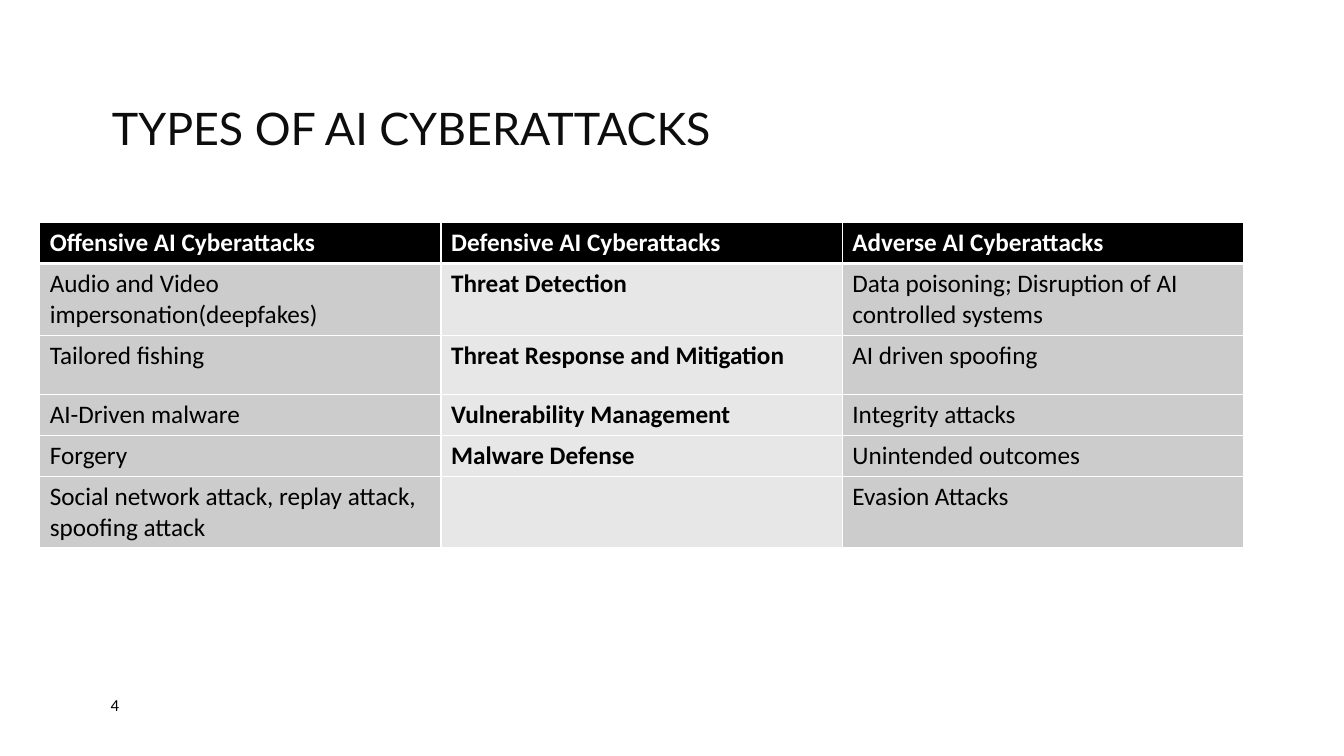
from pptx import Presentation
from pptx.dml.color import RGBColor
from pptx.enum.text import MSO_ANCHOR, PP_ALIGN
from pptx.oxml.ns import qn
from pptx.util import Pt
from lxml import etree

MIDDLE = MSO_ANCHOR.MIDDLE
LEFT = PP_ALIGN.LEFT
COLORS = {
    "title": "0D0D0D",
    "black": "000000",
    "white": "FFFFFF",
    "outer_column": "CCCCCC",
    "middle_column": "E7E7E7",
}
HEADINGS = ["Offensive AI Cyberattacks", "Defensive AI Cyberattacks", "Adverse AI Cyberattacks"]
ATTACKS = [
    ["Audio and Video impersonation(deepfakes)", "Threat Detection",
     "Data poisoning; Disruption of AI controlled systems"],
    ["Tailored fishing", "Threat Response and Mitigation", "AI driven spoofing"],
    ["AI-Driven malware", "Vulnerability Management", "Integrity attacks"],
    ["Forgery", "Malware Defense", "Unintended outcomes"],
    ["Social network attack, replay attack, spoofing attack", "", "Evasion Attacks"],
]
ROW_HEIGHTS = [24.5, 43.2, 42.5, 24.5, 24.5, 43.2]


def rgb(name):
    return RGBColor.from_string(COLORS[name])


def write(frame, text, size=18, font="Calibri", color="black", bold=False, spacing=None):
    paragraph = frame.paragraphs[0]
    paragraph.alignment = LEFT
    paragraph.line_spacing = spacing
    if not text:
        paragraph.font.size = Pt(size)
        return
    run = paragraph.add_run()
    run.text = text
    run.font.size = Pt(size)
    run.font.name = font
    run.font.bold = bold
    run.font.color.rgb = rgb(color)


def place(shape, left, top, width, height):
    shape.left, shape.top = Pt(left), Pt(top)
    shape.width, shape.height = Pt(width), Pt(height)


def add_title(slide, left, top, width, height):
    title = slide.shapes.title
    place(title, left, top, width, height)
    title.text_frame.word_wrap = True
    title.text_frame.vertical_anchor = MIDDLE
    write(title.text_frame, "TYPES OF AI CYBERATTACKS", size=32, font="Lato",
          color="title", spacing=0.9)


def set_borders(cell, bottom):
    """Draw white cell borders; must run before the cell is filled."""
    properties = cell._tc.get_or_add_tcPr()
    for side, width in (("L", 1), ("R", 1), ("T", 1), ("B", bottom)):
        line = etree.SubElement(properties, qn(f"a:ln{side}"), w=str(Pt(width)))
        fill = etree.SubElement(line, qn("a:solidFill"))
        etree.SubElement(fill, qn("a:srgbClr"), val=COLORS["white"])


def add_attack_table(slide, left, top, width):
    rows = [HEADINGS] + ATTACKS
    table = slide.shapes.add_table(len(rows), len(HEADINGS), Pt(left), Pt(top),
                                   Pt(width), Pt(sum(ROW_HEIGHTS))).table
    for column in table.columns:
        column.width = Pt(width / len(HEADINGS))
    for r, (texts, height) in enumerate(zip(rows, ROW_HEIGHTS)):
        table.rows[r].height = Pt(height)
        is_header = r == 0
        for c, text in enumerate(texts):
            cell = table.cell(r, c)
            is_middle = c == 1
            set_borders(cell, bottom=3 if is_header else 1)
            cell.fill.solid()
            body_fill = "middle_column" if is_middle else "outer_column"
            cell.fill.fore_color.rgb = rgb("black" if is_header else body_fill)
            write(cell.text_frame, text, color="white" if is_header else "black",
                  bold=is_header or is_middle)


def add_slide_number(slide, left, top, width, height):
    frame = slide.shapes.add_textbox(Pt(left), Pt(top), Pt(width), Pt(height)).text_frame
    frame.word_wrap = True
    frame.vertical_anchor = MIDDLE
    write(frame, "4", size=12)


def main():
    deck = Presentation()
    deck.slide_width, deck.slide_height = Pt(960), Pt(540)
    slide = deck.slides.add_slide(deck.slide_layouts.get_by_name("Title Only"))
    add_title(slide, 72.7, 46, 815, 95)
    add_attack_table(slide, 28.4, 159, 860)
    add_slide_number(slide, 72, 492, 50, 23)
    deck.save("out.pptx")


if __name__ == "__main__":
    main()
